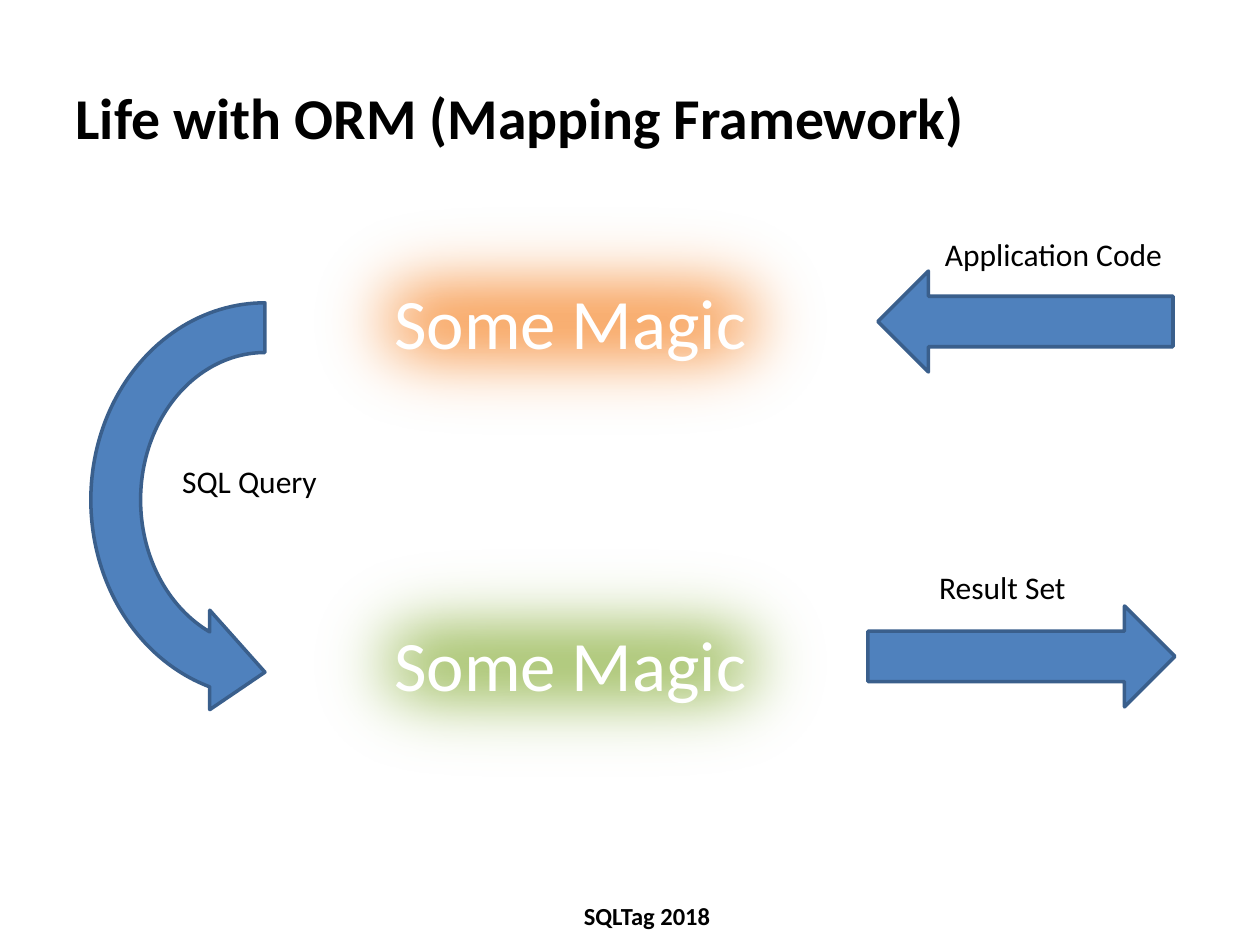
from lxml import etree
from pptx import Presentation
from pptx import util as u
from pptx.dml.color import RGBColor
from pptx.enum import shapes, text
from pptx.oxml.ns import qn

SCALE = u.Inches(1) // 126
FONT = "Calibri"
COLOURS = {"text": "000000", "light": "FFFFFF", "blue": "4F81BD",
           "edge": "3A5F8C", "orange": "F79646", "green": "9BBB59"}
KINDS = shapes.MSO_SHAPE
SOFT_RADIUS = u.Pt(50)

TITLE = ("Life with ORM (Mapping Framework)", (63, 37, 1134, 158))
EVENT = ("SQLTag 2018", (276, 889, 742, 53))
# wording, fill, box
MAGIC = [
    ("Some Magic", "orange", (273, 175, 595, 292)),
    ("Some Magic", "green", (273, 517, 595, 292)),
]
# preset, rotation, flipped, box
ARROWS = [
    (KINDS.RIGHT_ARROW, 180, False, (878, 271, 295, 101)),
    (KINDS.RIGHT_ARROW, 0, False, (868, 606, 307, 101)),
    (KINDS.CIRCULAR_ARROW, 90, True, (43, 301, 444, 398)),
]
LABELS = [
    ("SQL Query", (169, 456, 161, 89)),
    ("Application Code", (925, 229, 257, 50)),
    ("Result Set", (925, 562, 155, 89)),
]


def emu(box):
    """Turn a pixel box into EMU lengths."""
    return [px * SCALE for px in box]


def colour(name):
    """Look up a named colour."""
    return RGBColor.from_string(COLOURS[name])


def write(shape, wording, size, ink="text", bold=False,
          align=text.PP_ALIGN.CENTER, anchor=text.MSO_ANCHOR.MIDDLE, wrap=True):
    """Put one formatted line of text into a shape."""
    frame = shape.text_frame
    frame.word_wrap = wrap
    frame.vertical_anchor = anchor
    line = frame.paragraphs[0]
    line.alignment = align
    run = line.add_run()
    run.text = wording
    run.font.name, run.font.size, run.font.bold = FONT, u.Pt(size), bold
    run.font.color.rgb = colour(ink)


def filled(slide, preset, box, fill):
    """Add a preset shape with a plain fill and no shadow."""
    shape = slide.shapes.add_shape(preset, *emu(box))
    shape.shadow.inherit = False
    shape.fill.solid()
    shape.fill.fore_color.rgb = colour(fill)
    return shape


def add_magic(slide, wording, fill, box):
    """Add a glowing block with soft edges."""
    block = filled(slide, KINDS.RECTANGLE, box, fill)
    block.line.fill.background()
    effects = block._element.spPr.find(qn("a:effectLst"))
    etree.SubElement(effects, qn("a:softEdge"), rad=str(SOFT_RADIUS))
    write(block, wording, 40.5, "light")


def add_arrow(slide, preset, rotation, flipped, box):
    """Add an outlined block arrow."""
    arrow = filled(slide, preset, box, "blue")
    arrow.line.color.rgb = colour("edge")
    arrow.line.width = u.Pt(2)
    arrow.rotation = rotation
    if flipped:
        arrow._element.spPr.find(qn("a:xfrm")).set("flipV", "1")


def main():
    """Build and save the slide."""
    deck = Presentation()
    deck.slide_width, deck.slide_height = u.Inches(10), u.Inches(7.5)
    slide = deck.slides.add_slide(deck.slide_layouts.get_by_name("Title Only"))

    heading, box = TITLE
    title = slide.shapes.title
    title.left, title.top, title.width, title.height = emu(box)
    write(title, heading, 33, bold=True, align=text.PP_ALIGN.LEFT)

    event, box = EVENT
    write(slide.shapes.add_textbox(*emu(box)), event, 14, bold=True)

    for magic in MAGIC:
        add_magic(slide, *magic)
    for arrow in ARROWS:
        add_arrow(slide, *arrow)
    for label, box in LABELS:
        write(slide.shapes.add_textbox(*emu(box)), label, 18,
              anchor=text.MSO_ANCHOR.TOP, wrap=False)

    deck.save("out.pptx")


main()
